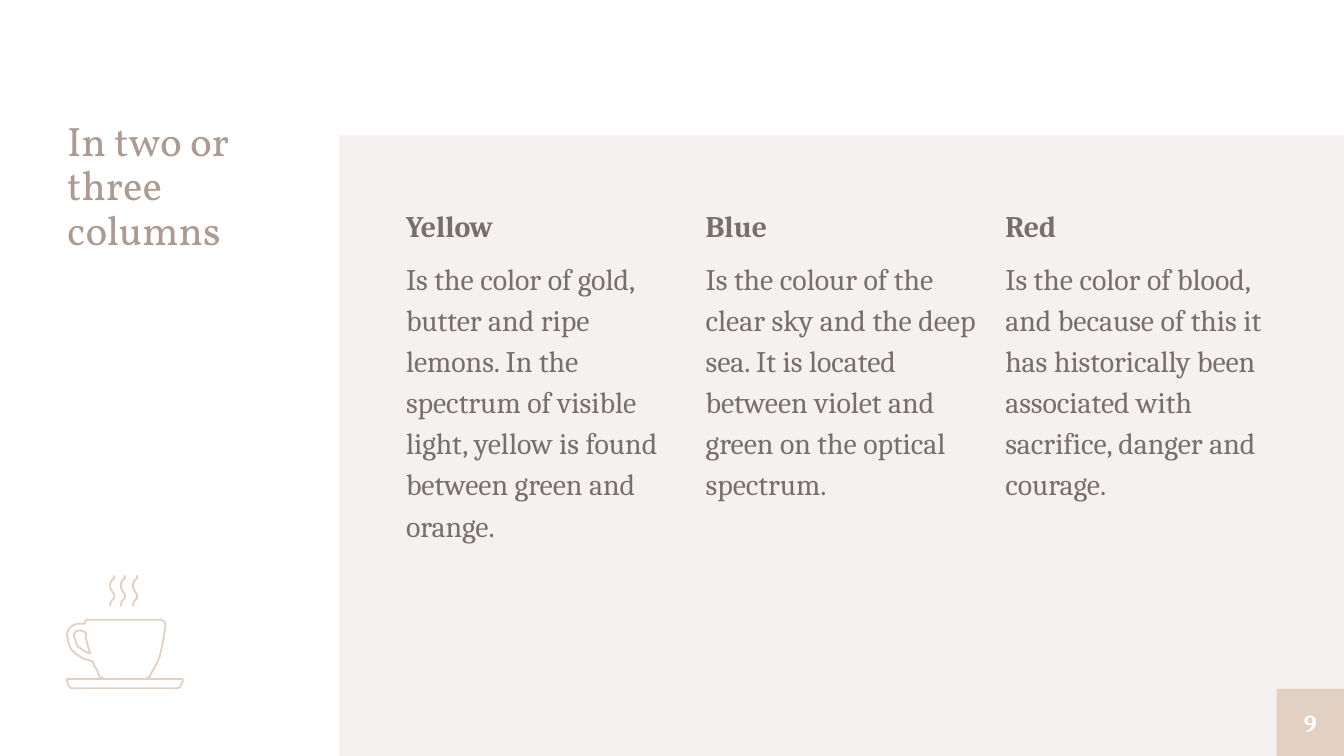
from pptx import Presentation
from pptx.dml.color import RGBColor
from pptx.enum.shapes import MSO_SHAPE as Shape
from pptx.enum.text import MSO_ANCHOR as Anchor, MSO_AUTO_SIZE as AutoSize, PP_ALIGN as Align
from pptx.util import Pt

PANEL = RGBColor(0xF5, 0xF1, 0xF0)
TITLE = RGBColor(0xAD, 0x9B, 0x91)
BODY = RGBColor(0x75, 0x6F, 0x6F)
SAND = RGBColor(0xE2, 0xD1, 0xC2)
WHITE = RGBColor(0xFF, 0xFF, 0xFF)

WIDTH, HEIGHT = 720, 405
COLUMN_GAP = 15.1
CUP_UNIT = 0.72

COLUMNS = [
    ("Yellow", "Is the color of gold, butter and ripe lemons. In the spectrum of visible light, "
               "yellow is found between green and orange."),
    ("Blue", "Is the colour of the clear sky and the deep sea. It is located between violet and "
             "green on the optical spectrum."),
    ("Red", "Is the color of blood, and because of this it has historically been associated with "
            "sacrifice, danger and courage."),
]

CUP_BODY = [
    (59, 76), (61, 76), (63, 72), (67, 65), (69, 60), (71, 51), (72, 45), (73, 39), (73, 36),
    (72, 34), (70, 33), (16, 33), (14, 33), (13, 35), (13, 36), (10, 36), (7, 36), (5, 37),
    (3, 38), (1, 40), (0, 43), (0, 45), (1, 50), (3, 55), (6, 58), (9, 60), (12, 62), (16, 63),
    (19, 64), (20, 67), (22, 70), (24, 75), (25, 76), (27, 76),
]
CUP_HANDLE = [
    (5, 45), (5, 44), (6, 42), (8, 41), (10, 41), (13, 42), (14, 43), (14, 47), (15, 51),
    (17, 58), (14, 57), (11, 55), (8, 53), (7, 51), (6, 48), (5, 45),
]
SAUCER = [
    (81, 84), (5, 84), (3, 84), (1, 82), (0, 79), (0, 77), (86, 77), (86, 79), (84, 83), (82, 84),
]
STEAM = [
    (3, 0), (3, 2), (2, 3), (1, 4), (0, 6), (0, 9), (1, 11), (2, 13), (3, 14), (3, 17), (2, 18),
    (1, 19), (0, 21), (0, 23),
]
STEAM_OFFSETS = (32, 40, 49)


def place(shape, left, top, width, height):
    shape.left, shape.top = Pt(left), Pt(top)
    shape.width, shape.height = Pt(width), Pt(height)


def prepare_frame(frame, anchor=Anchor.TOP):
    frame.margin_left = frame.margin_right = frame.margin_top = frame.margin_bottom = 0
    frame.word_wrap = True
    frame.auto_size = AutoSize.NONE
    frame.vertical_anchor = anchor


def write(para, text, size, font, color, bold=False, align=Align.LEFT):
    para.text = text
    para.alignment = align
    span = para.runs[0].font
    span.size, span.name, span.bold = Pt(size), font, bold
    span.color.rgb = color


def add_block(page, color, left, top, width, height):
    block = page.shapes.add_shape(Shape.RECTANGLE, Pt(left), Pt(top), Pt(width), Pt(height))
    block.shadow.inherit = False
    block.fill.solid()
    block.fill.fore_color.rgb = color
    block.line.fill.background()
    return block


def add_title(page, left, top, width, height):
    title = page.shapes.title
    place(title, left, top, width, height)
    prepare_frame(title.text_frame)
    para = title.text_frame.paragraphs[0]
    write(para, "In two or three columns", 22, "Vollkorn", TITLE)
    para.line_spacing = 0.9


def add_columns(page, left, top, width, height):
    count = len(COLUMNS)
    column_width = (width - COLUMN_GAP * (count - 1)) / count
    for index, (heading, text) in enumerate(COLUMNS):
        x = left + index * (column_width + COLUMN_GAP)
        box = page.shapes.add_textbox(Pt(x), Pt(top), Pt(column_width), Pt(height))
        frame = box.text_frame
        prepare_frame(frame)
        head, body = frame.paragraphs[0], frame.add_paragraph()
        write(head, heading, 16, "Cambria", BODY, bold=True)
        write(body, text, 16, "Cambria", BODY)
        head.line_spacing = body.line_spacing = 1.15
        body.space_before = Pt(6)


def add_page_number(page, left, top, width, height):
    block = add_block(page, SAND, left, top, width, height)
    prepare_frame(block.text_frame, Anchor.MIDDLE)
    write(block.text_frame.paragraphs[0], "9", 13, "Cambria", WHITE, bold=True, align=Align.CENTER)


def add_outline(group, points, left, top, close=False):
    builder = group.shapes.build_freeform(*points[0], scale=Pt(CUP_UNIT))
    builder.add_line_segments(points[1:], close=close)
    outline = builder.convert_to_shape(Pt(left), Pt(top))
    outline.shadow.inherit = False
    outline.fill.background()
    outline.line.color.rgb = SAND
    outline.line.width = Pt(0.96)


def add_cup(page, left, top):
    group = page.shapes.add_group_shape()
    add_outline(group, CUP_BODY, left, top)
    add_outline(group, CUP_HANDLE, left, top)
    add_outline(group, SAUCER, left, top, close=True)
    for offset in STEAM_OFFSETS:
        add_outline(group, STEAM, left + offset * CUP_UNIT, top)


def main():
    deck = Presentation()
    deck.slide_width, deck.slide_height = Pt(WIDTH), Pt(HEIGHT)
    page = deck.slides.add_slide(deck.slide_layouts[5])
    add_block(page, PANEL, 181.5, 72.5, WIDTH - 181.5, HEIGHT - 72.5)
    add_title(page, 36, 64.8, 128, 304.2)
    add_columns(page, 217.5, 108.5, 466.5, 260.5)
    add_page_number(page, WIDTH - 36, HEIGHT - 36, 36, 36)
    add_cup(page, 36, 308.3)
    deck.save("out.pptx")


if __name__ == "__main__":
    main()
